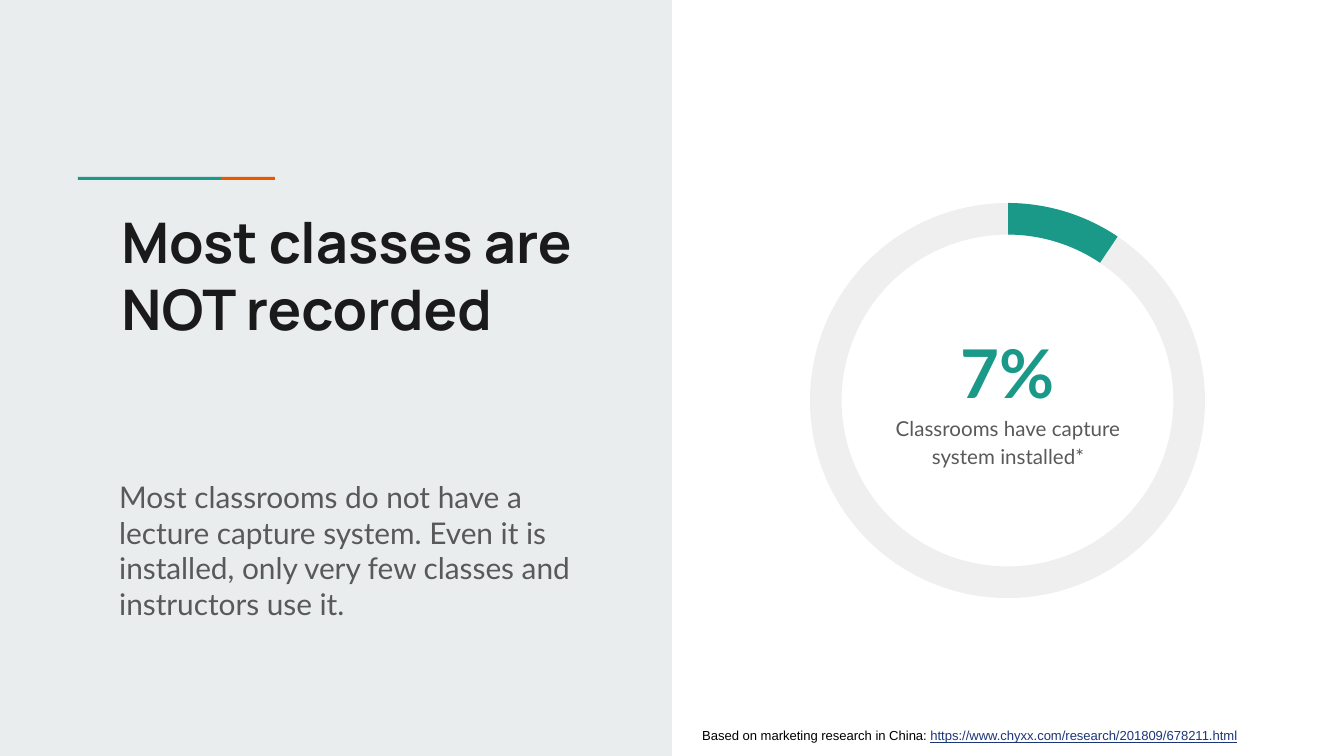
from dataclasses import dataclass
from typing import Any

from pptx import Presentation
from pptx.dml.color import RGBColor
from pptx.enum import shapes, text
from pptx.util import Emu, Pt

SCALE = 914400 / 134.4
INK = RGBColor(0x1A, 0x1A, 0x1A)
GRAY = RGBColor(0x59, 0x59, 0x59)
TEAL = RGBColor(0x1A, 0x99, 0x88)
ORANGE = RGBColor(0xEB, 0x56, 0x00)
MIST = RGBColor(0xE9, 0xED, 0xEE)
TRACK = RGBColor(0xEF, 0xEF, 0xEF)
BLACK = RGBColor(0, 0, 0)
NAVY = RGBColor(0x1C, 0x36, 0x78)

Box = tuple[int, int, int, int]
RECT = shapes.MSO_SHAPE.RECTANGLE
ARC = shapes.MSO_SHAPE.BLOCK_ARC
LEFT, CENTER = text.PP_ALIGN.LEFT, text.PP_ALIGN.CENTER
RING: Box = (810, 203, 395, 395)


@dataclass
class Form:
    kind: Any
    box: Box
    fill: RGBColor
    adjust: tuple[float, ...] = ()
    turn: float = 0


@dataclass
class Label:
    box: Box
    lines: list[str]
    font: str
    size: int
    color: RGBColor
    bold: bool = False
    align: Any = LEFT
    space: float = 1.0
    link: str = ""


FORMS = [
    Form(RECT, (0, 0, 672, 756), MIST),
    Form(RECT, (78, 177, 143, 3), TEAL),
    Form(RECT, (221, 177, 54, 3), ORANGE),
    Form(ARC, RING, TRACK, (76.29, 58.81, 0.08), 176.5),
    Form(ARC, RING, TEAL, (162.11, 182.34, 0.08)),
]
TITLE = Label((108, 194, 485, 249), ["Most classes are", "NOT recorded"],
              "Manrope", 30, INK, bold=True)
LABELS = [
    Label((887, 306, 241, 94), ["7%"], "Lato", 36, TEAL, True, CENTER, 1.15),
    Label((864, 399, 288, 112), ["Classrooms have capture system installed*"],
          "Lato", 11, GRAY, False, CENTER, 1.15),
    Label((689, 714, 642, 38), ["Based on marketing research in China: "],
          "Arial", 7, BLACK,
          link="https://www.chyxx.com/research/201809/678211.html"),
    Label((106, 465, 485, 112),
          ["Most classrooms do not have a lecture capture system. "
           "Even it is installed, only very few classes and instructors use it."],
          "Lato", 16, GRAY),
]


def px(value: int) -> Emu:
    return Emu(round(value * SCALE))


def style(target: Any, values: dict[str, Any]) -> None:
    for name, value in values.items():
        setattr(target, name, value)


def draw(slide: Any, form: Form) -> None:
    shape = slide.shapes.add_shape(form.kind, *map(px, form.box))
    shape.shadow.inherit = False
    shape.fill.solid()
    shape.fill.fore_color.rgb = form.fill
    shape.line.fill.background()
    shape.rotation = form.turn
    for index, value in enumerate(form.adjust):
        shape.adjustments[index] = value


def write(shape: Any, label: Label) -> None:
    sides = map(px, label.box)
    style(shape, dict(zip(("left", "top", "width", "height"), sides)))
    frame = shape.text_frame
    style(frame, {
        "word_wrap": True,
        "auto_size": text.MSO_AUTO_SIZE.NONE,
        "vertical_anchor": text.MSO_ANCHOR.TOP,
        **{f"margin_{side}": Pt(7.2)
           for side in ("left", "top", "right", "bottom")},
    })
    frame.text = "\n".join(label.lines)
    if label.link:
        frame.paragraphs[-1].add_run().text = label.link
    for para in frame.paragraphs:
        style(para, {"alignment": label.align, "line_spacing": label.space})
        for run in para.runs:
            linked = run.text == label.link
            style(run.font, {"name": label.font, "size": Pt(label.size),
                             "bold": label.bold, "underline": linked})
            run.font.color.rgb = NAVY if linked else label.color


def main() -> None:
    deck = Presentation()
    style(deck, {"slide_width": px(1344), "slide_height": px(756)})
    slide = deck.slides.add_slide(deck.slide_layouts[5])
    for form in FORMS:
        draw(slide, form)
    write(slide.shapes.title, TITLE)
    tree = slide.shapes.title.element.getparent()
    tree.append(slide.shapes.title.element)
    for label in LABELS:
        write(slide.shapes.add_textbox(*map(px, label.box)), label)
    deck.save("out.pptx")


if __name__ == "__main__":
    main()
